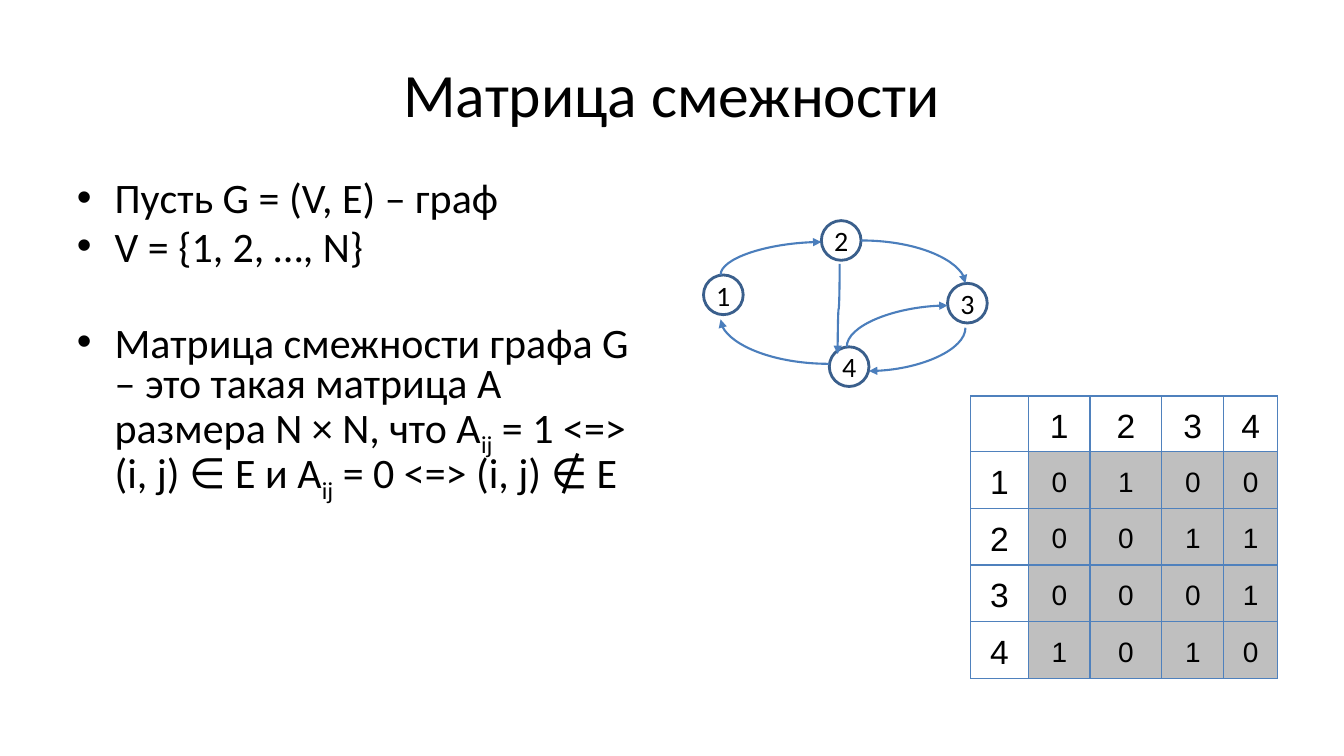
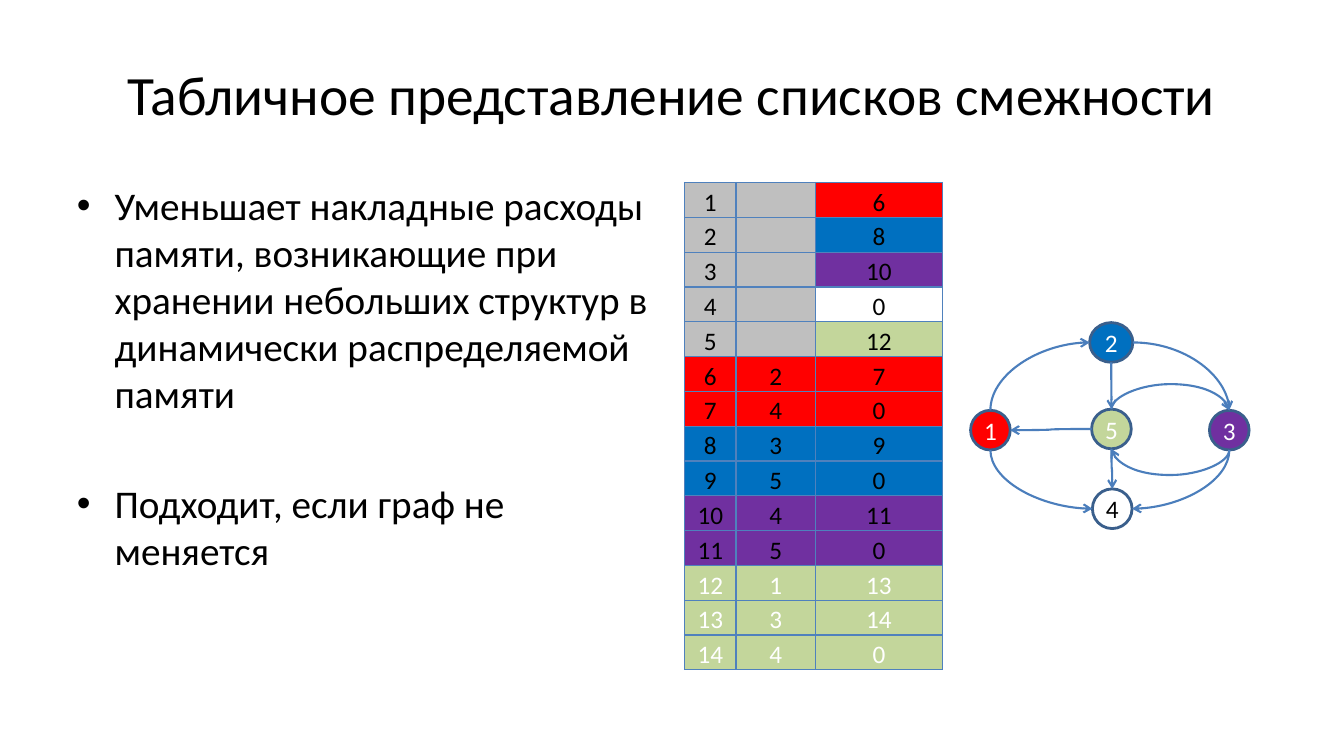
from dataclasses import dataclass
from typing import NamedTuple, Optional

from lxml.etree import SubElement
from pptx import Presentation
from pptx.dml.color import RGBColor
from pptx.enum.shapes import MSO_CONNECTOR, MSO_SHAPE
from pptx.enum.text import MSO_ANCHOR as Anchor, PP_ALIGN as Align
from pptx.oxml.ns import qn
from pptx.slide import Slide
from pptx.util import Cm, Pt


@dataclass(frozen=True)
class Theme:
    font: str = "Calibri"
    matrix_font: str = "Arial"
    black: str = "000000"
    white: str = "FFFFFF"
    grey: str = "BFBFBF"
    red: str = "FF0000"
    blue: str = "0070C0"
    purple: str = "7030A0"
    green: str = "C3D69B"
    border: str = "4F81BD"
    outline: str = "3A5F8C"
    arrow: str = "4B7EBC"
    title: float = 44
    long_title: float = 39.6
    matrix_head: float = 24
    label: float = 20
    small: float = 18


T = Theme()


class Span(NamedTuple):
    text: str
    sub: bool = False


class Bullet(NamedTuple):
    spans: list[Span]
    before: float = 0


class CellText(NamedTuple):
    text: str
    size: float
    color: str = T.black
    fill: Optional[str] = None


@dataclass(frozen=True)
class Node:
    name: str
    x: float
    y: float
    fill: Optional[str] = None
    color: str = T.black
    w: float = 1
    h: float = 1

    def port(self, side: str) -> tuple[float, float]:
        fx, fy = {"l": (0, 0.5), "r": (1, 0.5), "t": (0.5, 0), "b": (0.5, 1)}[side]
        return self.x + fx * self.w, self.y + fy * self.h


@dataclass(frozen=True)
class Edge:
    start: str
    end: str
    bend: Optional[float] = None
    start_shift: tuple[float, float] = (0, 0)
    end_shift: tuple[float, float] = (0, 0)


def add_run(p, text: str, size: float, color: str = T.black, font: str = T.font):
    r = p.add_run()
    r.text = text
    r.font.size = Pt(size)
    r.font.name = font
    r.font.color.rgb = RGBColor.from_string(color)
    return r


def add_box(s: Slide, x: float, y: float, w: float, h: float):
    tf = s.shapes.add_textbox(Cm(x), Cm(y), Cm(w), Cm(h)).text_frame
    tf.word_wrap = True
    return tf


def add_title(s: Slide, text: str, size: float) -> None:
    tf = add_box(s, 1.69, 0.76, 30.48, 3.18)
    tf.vertical_anchor = Anchor.MIDDLE
    p = tf.paragraphs[0]
    p.alignment = Align.CENTER
    add_run(p, text, size)


def add_bullets(s: Slide, bullets: list[Bullet], size: float, spacing: float) -> None:
    tf = add_box(s, 1.69, 4.45, 14.96, 12.57)
    for i, bullet in enumerate(bullets):
        p = tf.paragraphs[0] if i == 0 else tf.add_paragraph()
        p.line_spacing = spacing
        if bullet.before:
            p.space_before = Pt(bullet.before)
        pPr = p._p.get_or_add_pPr()
        pPr.set("marL", str(Cm(0.95)))
        pPr.set("indent", str(-Cm(0.95)))
        SubElement(pPr, qn("a:buFont"), typeface="Arial")
        SubElement(pPr, qn("a:buChar"), char="•")
        for span in bullet.spans:
            r = add_run(p, span.text, size)
            if span.sub:
                r._r.get_or_add_rPr().set("baseline", "-25000")


def add_border(cell) -> None:
    tcPr = cell._tc.get_or_add_tcPr()
    for side in ("a:lnL", "a:lnR", "a:lnT", "a:lnB"):
        ln = SubElement(tcPr, qn(side), w=str(Pt(1)))
        fill = SubElement(ln, qn("a:solidFill"))
        SubElement(fill, qn("a:srgbClr"), val=T.border)


def add_grid(s: Slide, x: float, y: float, widths: list[float], heights: list[float],
             rows: list[list[CellText]], font: str, anchor: Anchor) -> None:
    table = s.shapes.add_table(len(heights), len(widths), Cm(x), Cm(y),
                               Cm(sum(widths)), Cm(sum(heights))).table
    table.first_row = table.horz_banding = False
    for column, width in zip(table.columns, widths):
        column.width = Cm(width)
    for row, height, items in zip(table.rows, heights, rows):
        row.height = Cm(height)
        for cell, item in zip(row.cells, items):
            add_border(cell)
            if item.fill:
                cell.fill.solid()
                cell.fill.fore_color.rgb = RGBColor.from_string(item.fill)
            else:
                cell.fill.background()
            cell.margin_left = cell.margin_right = Cm(0.18)
            cell.margin_top = cell.margin_bottom = 0
            cell.vertical_anchor = anchor
            p = cell.text_frame.paragraphs[0]
            p.alignment = Align.CENTER
            p.line_spacing = 1.15
            if item.text:
                add_run(p, item.text, item.size, item.color, font)


def add_node(s: Slide, node: Node, size: float) -> None:
    sp = s.shapes.add_shape(MSO_SHAPE.OVAL, Cm(node.x), Cm(node.y), Cm(node.w), Cm(node.h))
    sp.shadow.inherit = False
    sp.line.color.rgb = RGBColor.from_string(T.outline)
    sp.line.width = Pt(2)
    if node.fill:
        sp.fill.solid()
        sp.fill.fore_color.rgb = RGBColor.from_string(node.fill)
    else:
        sp.fill.background()
    tf = sp.text_frame
    tf.word_wrap = False
    tf.margin_left = tf.margin_right = tf.margin_top = tf.margin_bottom = 0
    tf.vertical_anchor = Anchor.MIDDLE
    p = tf.paragraphs[0]
    p.alignment = Align.CENTER
    add_run(p, node.name, size, node.color)


def add_edge(s: Slide, nodes: dict[str, Node], edge: Edge, head: str) -> None:
    (x1, y1), (x2, y2) = [
        [a + b for a, b in zip(nodes[at[0]].port(at[1]), shift)]
        for at, shift in ((edge.start, edge.start_shift), (edge.end, edge.end_shift))]
    upright = edge.start[1] in "tb"
    along, across = (y2 - y1, x1 - x2) if upright else (x2 - x1, y2 - y1)
    cx, cy = (x1 + x2) / 2, (y1 + y2) / 2
    line = s.shapes.add_connector(
        MSO_CONNECTOR.CURVE, Cm(cx - along / 2), Cm(cy - across / 2),
        Cm(cx + along / 2), Cm(cy + across / 2))
    line.line.color.rgb = RGBColor.from_string(T.arrow)
    line.line.width = Pt(1.5)
    spPr = line._element.spPr
    if upright:
        spPr.find(qn("a:xfrm")).set("rot", "5400000")
    geom = spPr.find(qn("a:prstGeom"))
    if edge.bend is None:
        geom.set("prst", "curvedConnector2")
    else:
        SubElement(geom.find(qn("a:avLst")), qn("a:gd"), name="adj1",
                   fmla=f"val {round(edge.bend * 100000)}")
    SubElement(spPr.find(qn("a:ln")), qn("a:tailEnd"), type=head)
    SubElement(spPr, qn("a:effectLst"))


def add_graph(s: Slide, nodes: list[Node], edges: list[Edge], head: str, size: float) -> None:
    for node in nodes:
        add_node(s, node, size)
    by_name = {node.name: node for node in nodes}
    for edge in edges:
        add_edge(s, by_name, edge, head)


def build_matrix(s: Slide) -> None:
    add_title(s, "Матрица смежности", T.title)
    add_bullets(s, [
        Bullet([Span("Пусть G = (V, E) – граф")]),
        Bullet([Span("V = {1, 2, …, N}")], 6),
        Bullet([Span("Матрица смежности графа G – это такая матрица A размера N × N, что A"),
                Span("ij", True), Span(" = 1 <=> (i, j) ∈ E и A"),
                Span("ij", True), Span(" = 0 <=> (i, j) ∉ E")], 39.5),
    ], 30, 0.8)
    nodes = [Node("1", 17.73, 6.93), Node("2", 20.7, 5.56),
             Node("3", 23.88, 7.14), Node("4", 20.9, 8.74)]
    edges = [
        Edge("1t", "2l", None, (-0.07, 0), (0, 0.04)),
        Edge("3b", "4r", None, (-0.05, 0.12), (0, 0.11)),
        Edge("2b", "4t", 0.5, (-0.04, 0.09), (-0.29, 0.18)),
        Edge("4t", "3l", None, (-0.06, 0), (0, 0.06)),
        Edge("4l", "1b", None, (0, -0.07), (-0.07, 0.12)),
        Edge("2r", "3t", None, (0, 0), (-0.05, 0)),
    ]
    add_graph(s, nodes, edges, "triangle", T.label)
    header = [CellText(name, T.matrix_head) for name in ("", "1", "2", "3", "4")]
    rows = [header] + [
        [CellText(str(i), T.matrix_head)] + [CellText(v, T.label, fill=T.grey) for v in values]
        for i, values in enumerate(("0100", "0011", "0001", "1010"), 1)]
    add_grid(s, 24.46, 9.98, [1.46, 1.55, 1.81, 1.56, 1.36], [1.4] + [1.43] * 4,
             rows, T.matrix_font, Anchor.MIDDLE)


def build_lists(s: Slide) -> None:
    add_title(s, "Табличное представление списков смежности", T.long_title)
    add_bullets(s, [
        Bullet([Span("Уменьшает накладные расходы памяти, возникающие при хранении "
                     "небольших структур в динамически распределяемой памяти")]),
        Bullet([Span("Подходит, если граф не меняется")], 44.5),
    ], 28, 1)
    heads = [("6", T.red), ("8", T.blue), ("10", T.purple), ("0", T.white), ("12", T.green)]
    rows = [[CellText(str(i), T.small, fill=T.grey), CellText("", T.small, fill=T.grey),
             CellText(first, T.small, fill=fill)] for i, (first, fill) in enumerate(heads, 1)]
    links = [("2", "7", T.red), ("4", "0", T.red), ("3", "9", T.blue), ("5", "0", T.blue),
             ("4", "11", T.purple), ("5", "0", T.purple),
             ("1", "13", T.green), ("3", "14", T.green), ("4", "0", T.green)]
    for i, (vertex, following, fill) in enumerate(links, len(heads) + 1):
        color = T.white if fill == T.green else T.black
        rows.append([CellText(v, T.small, color, fill) for v in (str(i), vertex, following)])
    add_grid(s, 17.25, 4.6, [1.3, 2, 3.2], [0.71] * len(rows), rows, T.font, Anchor.TOP)
    nodes = [Node("1", 24.46, 10.34, T.red, T.white), Node("5", 27.51, 10.31, T.green, T.white),
             Node("2", 27.46, 8.13, T.blue, T.white, w=1.09),
             Node("3", 30.48, 10.34, T.purple, T.white), Node("4", 27.53, 12.32)]
    edges = [Edge("1t", "2l"), Edge("3b", "5b", -21), Edge("2b", "5t", 0.5),
             Edge("5t", "3t", -21), Edge("5l", "1r", 0.5), Edge("2r", "3t"),
             Edge("1b", "4l"), Edge("5b", "4t", 0.5), Edge("3b", "4r")]
    add_graph(s, nodes, edges, "arrow", T.small)


def main() -> None:
    prs = Presentation()
    prs.slide_width, prs.slide_height = Cm(33.87), Cm(19.05)
    for build in (build_matrix, build_lists):
        build(prs.slides.add_slide(prs.slide_layouts[6]))
    prs.save("out.pptx")


if __name__ == "__main__":
    main()
